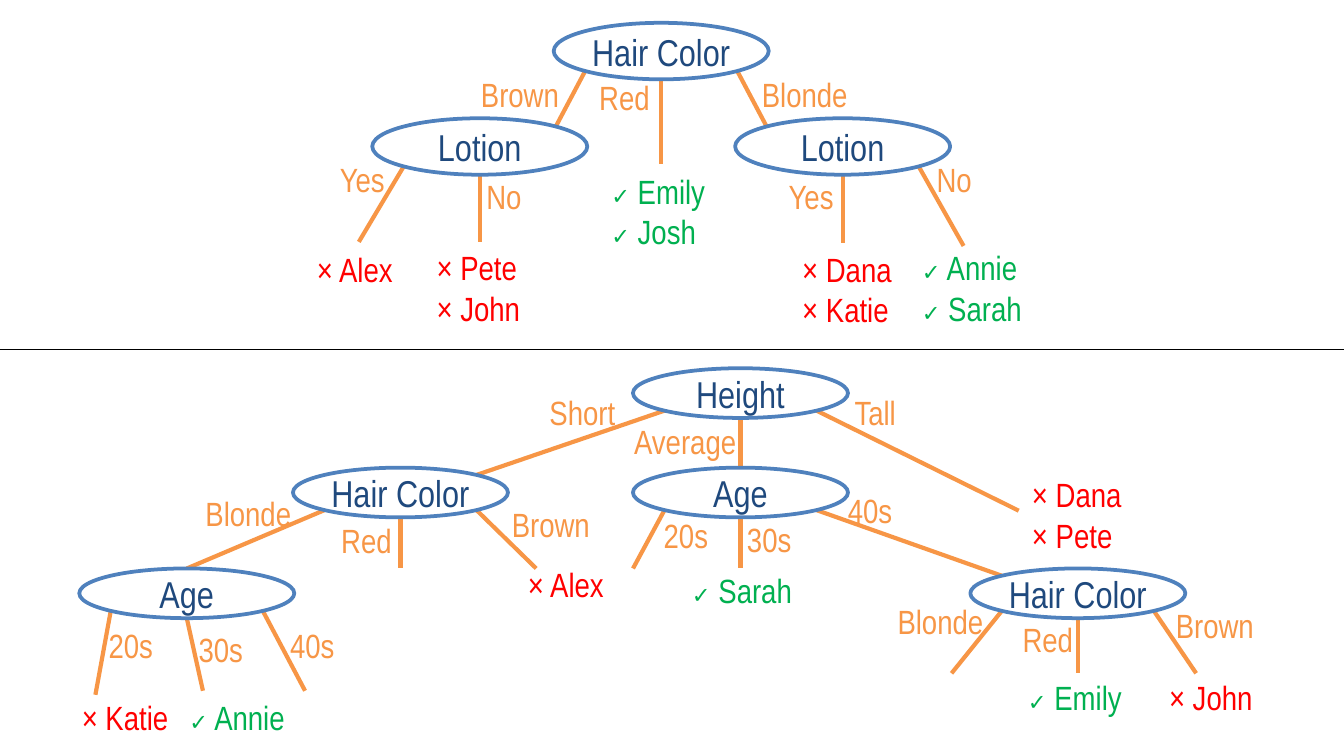
import pptx
import pptx.util
import pptx.dml.color
import pptx.enum.shapes
import pptx.enum.text
import pptx.oxml.ns
import lxml.etree
from dataclasses import dataclass

PX = 9144


@dataclass(frozen=True)
class Theme:
    font: str = "Arial Narrow"
    node_text: str = "1F497D"
    node_fill: str = "FFFFFF"
    node_line: str = "4F81BD"
    branch: str = "F79646"
    yes: str = "00B050"
    no: str = "FF0000"
    divider: str = "000000"
    node_size: int = 20
    text_size: int = 18
    check_size: int = 12


THEME = Theme()
NODE_W = 160
DIAGONAL = 0.5 ** 0.5 / 2
PORTS = {"T": (0, -0.5), "B": (0, 0.5),
         "TL": (-DIAGONAL, -DIAGONAL), "TR": (DIAGONAL, -DIAGONAL),
         "BL": (-DIAGONAL, DIAGONAL), "BR": (DIAGONAL, DIAGONAL)}
WIDTHS = {"Brown": 79, "Red": 58, "Blonde": 85, "Yes": 54, "No": 47,
          "Short": 70, "Average": 97, "Tall": 51, "20s": 54, "30s": 54, "40s": 54,
          "Alex": 77, "Pete": 80, "John": 83, "Dana": 88, "Katie": 85,
          "Emily": 93, "Josh": 83, "Annie": 95, "Sarah": 98}

HAIR_TREE = {
    "node_h": 42, "label_h": 40, "leaf_step": 31,
    "nodes": {"hair": ("Hair Color", 412, 17),
              "lotion brown": ("Lotion", 277, 88),
              "lotion blonde": ("Lotion", 547, 88)},
    "branches": [
        ("hair", "BL", ("lotion brown", "TR"), "Brown", (348, 50)),
        ("hair", "B", (492, 122), "Red", (436, 52)),
        ("hair", "BR", ("lotion blonde", "TL"), "Blonde", (557, 50)),
        ("lotion brown", "BL", (267, 180), "Yes", (243, 113)),
        ("lotion brown", "B", (357, 180), "No", (352, 126)),
        ("lotion blonde", "B", (627, 181), "Yes", (577, 126)),
        ("lotion blonde", "BR", (717, 183), "No", (687, 113))],
    "leaves": [
        (False, ["Alex"], 226, 180), (False, ["Pete", "John"], 315, 179),
        (True, ["Emily", "Josh"], 445, 122), (False, ["Dana", "Katie"], 587, 180),
        (True, ["Annie", "Sarah"], 676, 179)],
}

HEIGHT_TREE = {
    "node_h": 37, "label_h": 36, "leaf_step": 27,
    "nodes": {"height": ("Height", 471, 14),
              "hair short": ("Hair Color", 218, 88),
              "age average": ("Age", 471, 88),
              "age blonde": ("Age", 59, 163),
              "hair 40s": ("Hair Color", 722, 163)},
    "branches": [
        ("height", "BL", ("hair short", "TR"), "Short", (399, 27)),
        ("height", "B", ("age average", "T"), "Average", (462, 48)),
        ("height", "BR", (758, 120), "Tall", (626, 27)),
        ("hair short", "BL", ("age blonde", "T"), "Blonde", (143, 102)),
        ("hair short", "B", (298, 163), "Red", (244, 122)),
        ("hair short", "BR", (399, 163), "Brown", (371, 110)),
        ("age average", "BL", (471, 163), "20s", (484, 118)),
        ("age average", "B", (551, 163), "30s", (546, 121)),
        ("age average", "BR", ("hair 40s", "TL"), "40s", (621, 100)),
        ("age blonde", "BL", (71, 257), "20s", (71, 200)),
        ("age blonde", "B", (151, 254), "30s", (138, 203)),
        ("age blonde", "BR", (227, 254), "40s", (206, 200)),
        ("hair 40s", "BL", (708, 241), "Blonde", (658, 182)),
        ("hair 40s", "B", (802, 241), "Red", (751, 196)),
        ("hair 40s", "BR", (890, 241), "Brown", (865, 185))],
    "leaves": [
        (False, ["John"], 860, 239), (True, ["Emily"], 755, 239),
        (False, ["Dana", "Pete"], 758, 88), (False, ["Alex"], 383, 155),
        (False, ["Katie"], 51, 254), (True, ["Annie"], 131, 254),
        (True, ["Sarah"], 505, 159)],
}


def emu(*lengths):
    return [round(n * PX) for n in lengths]


def rgb(color):
    return pptx.dml.color.RGBColor.from_string(color)


def style(r, size, color):
    r.font.name = THEME.font
    r.font.size = pptx.util.Pt(size)
    r.font.color.rgb = rgb(color)


def add_line(s, start, end, color, width):
    line = s.shapes.add_connector(
        pptx.enum.shapes.MSO_CONNECTOR.STRAIGHT, *emu(*start, *end))
    line.line.color.rgb = rgb(color)
    line.line.width = pptx.util.Pt(width)
    lxml.etree.SubElement(line._element.spPr, pptx.oxml.ns.qn("a:effectLst"))


def add_text(s, x, y, w, h, lines, color):
    tf = s.shapes.add_textbox(*emu(x, y, w, h)).text_frame
    tf.word_wrap = False
    tf.auto_size = pptx.enum.text.MSO_AUTO_SIZE.SHAPE_TO_FIT_TEXT
    for i, runs in enumerate(lines):
        p = tf.paragraphs[0] if i == 0 else tf.add_paragraph()
        for text, size in runs:
            r = p.add_run()
            r.text = text
            style(r, size, color)


def add_leaf(s, x, y, h, good, names):
    if good:
        lines = [[("✓", THEME.check_size), (f" {n}", THEME.text_size)] for n in names]
    else:
        lines = [[(f"× {n}", THEME.text_size)] for n in names]
    w = max(WIDTHS[n] for n in names)
    add_text(s, x, y, w, h, lines, THEME.yes if good else THEME.no)


def add_node(s, x, y, h, text):
    sp = s.shapes.add_shape(
        pptx.enum.shapes.MSO_SHAPE.OVAL, *emu(x, y, NODE_W, h))
    sp.shadow.inherit = False
    sp.fill.solid()
    sp.fill.fore_color.rgb = rgb(THEME.node_fill)
    sp.line.color.rgb = rgb(THEME.node_line)
    sp.line.width = pptx.util.Pt(2)
    tf = sp.text_frame
    tf.margin_left = tf.margin_right = tf.margin_top = tf.margin_bottom = 0
    tf.vertical_anchor = pptx.enum.text.MSO_ANCHOR.MIDDLE
    tf.text = text
    p = tf.paragraphs[0]
    p.alignment = pptx.enum.text.PP_ALIGN.CENTER
    style(p.runs[0], THEME.node_size, THEME.node_text)


def add_tree(s, left, top, tree):
    node_h, label_h = tree["node_h"], tree["label_h"]

    def port(name, side):
        _, x, y = tree["nodes"][name]
        dx, dy = PORTS[side]
        return (left + x + NODE_W * (0.5 + dx), top + y + node_h * (0.5 + dy))

    for name, side, end, label, (x, y) in tree["branches"]:
        target = port(*end) if end[0] in tree["nodes"] else (left + end[0], top + end[1])
        add_line(s, port(name, side), target, THEME.branch, 2.25)
        add_text(s, left + x, top + y, WIDTHS[label], label_h,
                 [[(label, THEME.text_size)]], THEME.branch)
    for good, names, x, y in tree["leaves"]:
        h = label_h + tree["leaf_step"] * (len(names) - 1)
        add_leaf(s, left + x, top + y, h, good, names)
    for text, x, y in tree["nodes"].values():
        add_node(s, left + x, top + y, node_h, text)


def main():
    prs = pptx.Presentation()
    prs.slide_width = 1000 * PX
    prs.slide_height = prs.slide_width * 9 // 16
    s = prs.slides.add_slide(prs.slide_layouts[6])
    add_tree(s, 0, 260, HEIGHT_TREE)
    add_line(s, (0, 260), (1000, 260), THEME.divider, 1)
    add_tree(s, 0, 0, HAIR_TREE)
    prs.save("out.pptx")


if __name__ == "__main__":
    main()
